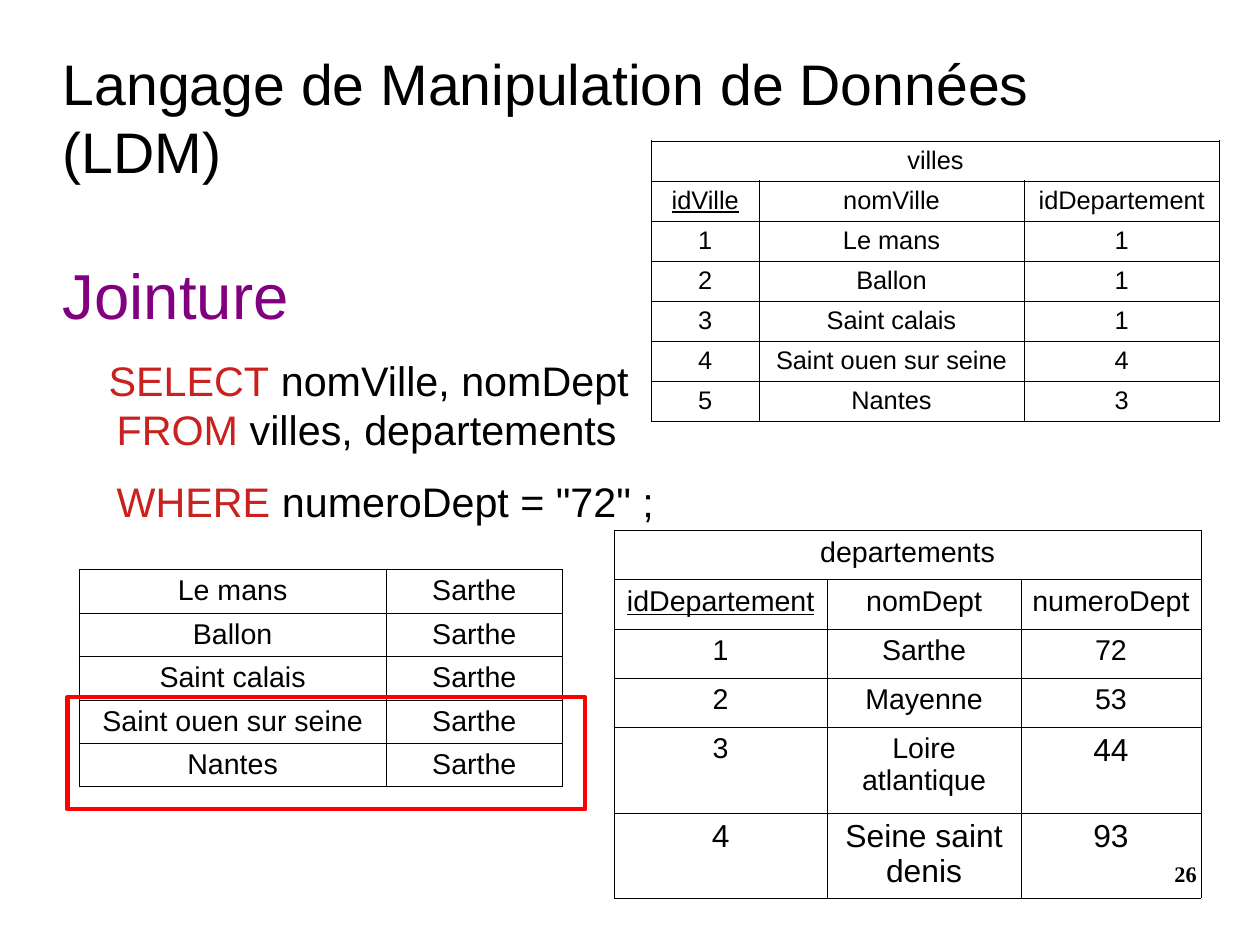
from lxml.etree import SubElement
from pptx import Presentation
from pptx.dml.color import RGBColor
from pptx.enum.shapes import MSO_SHAPE
from pptx.enum.text import MSO_ANCHOR, PP_ALIGN
from pptx.oxml.ns import qn
from pptx.util import Inches, Pt

BLACK = "000000"
WHITE = "FFFFFF"
PURPLE = "800080"
KEYWORD_RED = "C9211E"
FRAME_RED = "FF0000"

VILLES = [
    ["villes", "", ""],
    ["idVille", "nomVille", "idDepartement"],
    ["1", "Le mans", "1"],
    ["2", "Ballon", "1"],
    ["3", "Saint calais", "1"],
    ["4", "Saint ouen sur seine", "4"],
    ["5", "Nantes", "3"],
]
DEPARTEMENTS = [
    ["departements", "", ""],
    ["idDepartement", "nomDept", "numeroDept"],
    ["1", "Sarthe", "72"],
    ["2", "Mayenne", "53"],
    ["3", "Loire atlantique", "44"],
    ["4", "Seine saint denis", "93"],
]
RESULTAT = [[ville, "Sarthe"] for ville in
            ["Le mans", "Ballon", "Saint calais", "Saint ouen sur seine", "Nantes"]]
QUERY = [
    ("SELECT", " nomVille, nomDept", 0.4, 0),
    ("FROM", " villes, departements", 0.47, 14.2),
    ("WHERE", ' numeroDept = "72" ;', 0.47, 14.2),
]


def color(value):
    return RGBColor.from_string(value)


def format_font(font, size, fill=BLACK, name="Arial"):
    font.name = name
    font.size = Pt(size)
    font.color.rgb = color(fill)


def add_text_frame(slide, left, top, width, height, anchor=MSO_ANCHOR.TOP):
    box = slide.shapes.add_textbox(Inches(left), Inches(top), Inches(width), Inches(height))
    frame = box.text_frame
    frame.word_wrap = True
    frame.vertical_anchor = anchor
    frame.margin_left = frame.margin_right = frame.margin_top = frame.margin_bottom = 0
    return frame


def add_label(slide, text, position, size, name="Arial", anchor=MSO_ANCHOR.TOP,
              align=PP_ALIGN.LEFT, bold=False):
    frame = add_text_frame(slide, *position, anchor)
    frame.text = text
    paragraph = frame.paragraphs[0]
    paragraph.alignment = align
    run = paragraph.runs[0]
    format_font(run.font, size, name=name)
    run.font.bold = bold


def add_query(slide):
    frame = add_text_frame(slide, 0.55, 2.24, 5.55, 2.76)
    frame.text = "Jointure"
    heading = frame.paragraphs[0]
    heading.space_after = Pt(14.2)
    format_font(heading.runs[0].font, 40, PURPLE)
    for keyword, rest, indent, space_after in QUERY:
        paragraph = frame.add_paragraph()
        paragraph._p.get_or_add_pPr().set("marL", str(Inches(indent)))
        paragraph.space_after = Pt(space_after)
        for text, fill in ((keyword, KEYWORD_RED), (rest, BLACK)):
            run = paragraph.add_run()
            run.text = text
            format_font(run.font, 26, fill)


def add_borders(cell):
    properties = cell._tc.get_or_add_tcPr()
    for side in ("a:lnL", "a:lnR", "a:lnT", "a:lnB"):
        line = SubElement(properties, qn(side), w=str(Pt(0.06)))
        fill = SubElement(line, qn("a:solidFill"))
        SubElement(fill, qn("a:srgbClr"), val=BLACK)


def format_cell(cell, text, size, underline):
    add_borders(cell)
    cell.margin_bottom = Inches(0.03)
    cell.fill.solid()
    cell.fill.fore_color.rgb = color(WHITE)
    cell.text_frame.text = text
    paragraph = cell.text_frame.paragraphs[0]
    paragraph.alignment = PP_ALIGN.CENTER
    format_font(paragraph.font, size)
    for run in paragraph.runs:
        format_font(run.font, size)
        run.font.underline = underline


def add_grid(slide, rows, left, top, widths, heights, size, titled=True, large_cells=()):
    shape = slide.shapes.add_table(len(rows), len(widths), Inches(left), Inches(top),
                                   Inches(sum(widths)), Inches(sum(heights)))
    table = shape.table
    table.first_row = table.horz_banding = False
    for column, width in zip(table.columns, widths):
        column.width = Inches(width)
    for row, height in zip(table.rows, heights):
        row.height = Inches(height)
    for row_index, row in enumerate(rows):
        for column_index, text in enumerate(row):
            place = (row_index, column_index)
            cell_size = 20 if place in large_cells else size
            format_cell(table.cell(*place), text, cell_size, titled and place == (1, 0))
    if titled:
        table.cell(0, 0).merge(table.cell(0, len(widths) - 1))


def add_frame(slide, left, top, width, height):
    shape = slide.shapes.add_shape(MSO_SHAPE.RECTANGLE, Inches(left), Inches(top),
                                   Inches(width), Inches(height))
    shape.shadow.inherit = False
    shape.fill.background()
    shape.line.color.rgb = color(FRAME_RED)
    shape.line.width = Pt(2.83)


def main():
    presentation = Presentation()
    presentation.slide_width = Inches(28 / 2.54)
    presentation.slide_height = Inches(21 / 2.54)
    slide = presentation.slides.add_slide(presentation.slide_layouts[6])
    add_label(slide, "Langage de Manipulation de Données (LDM)", (0.55, 0.33, 9.92, 1.38), 36,
              anchor=MSO_ANCHOR.MIDDLE)
    add_query(slide)
    add_grid(slide, DEPARTEMENTS, 5.37, 4.64, [1.87, 1.69, 1.58], [0.43] * 4 + [0.75] * 2, 18,
             large_cells=[(4, 2), (5, 0), (5, 1), (5, 2)])
    add_grid(slide, RESULTAT, 0.69, 4.98, [2.69, 1.54], [0.38] * 5, 18, titled=False)
    add_frame(slide, 0.59, 6.1, 4.53, 0.98)
    add_grid(slide, VILLES, 5.7, 1.23, [0.94, 2.32, 1.71], [0.35] * 7, 16)
    add_label(slide, "26", (7.9, 7.53, 2.57, 0.57), 14, name="Times New Roman",
              align=PP_ALIGN.RIGHT, bold=True)
    presentation.save("out.pptx")


if __name__ == "__main__":
    main()
